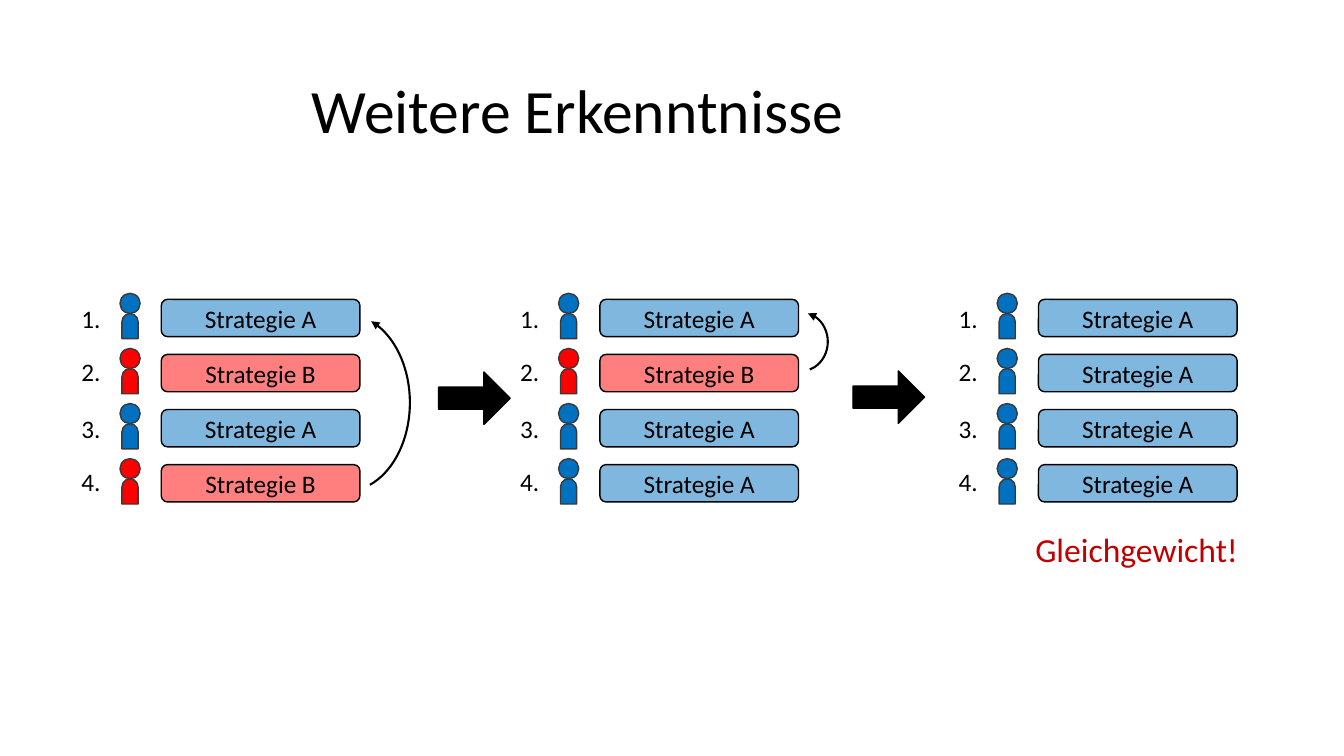
from lxml import etree
from pptx import Presentation
from pptx.dml.color import RGBColor
from pptx.enum.shapes import MSO_SHAPE as Preset
from pptx.enum.text import MSO_ANCHOR as Anchor, MSO_AUTO_SIZE as AutoSize, PP_ALIGN as Align
from pptx.oxml.ns import qn
from pptx.util import Inches, Pt

BLACK = RGBColor(0x00, 0x00, 0x00)
BLUE = RGBColor(0x00, 0x70, 0xC0)
RED = RGBColor(0xFF, 0x00, 0x00)
DARK_RED = RGBColor(0xC0, 0x00, 0x00)
OUTLINE = RGBColor(0x3B, 0x38, 0x38)

STRATEGY_COLORS = {"A": BLUE, "B": RED}
ROWS = 4
PANEL_LEFT, PANEL_TOP, PANEL_PITCH = 0.71, 2.91, 4.35
ROW_PITCH = 1.64 / (ROWS - 1)

# Strategies from first to last place; arc as (box in the panel, start, end)
PANELS = [
    ("ABAB", ((1.84, 0.45, 1.76, 1.27), 118.365, 206.187)),
    ("ABAA", ((2.6, 0.22, 0.58, 0.52), 115.466, 206.187)),
    ("AAAA", None),
]
STEP_ARROWS = [(4.35, 3.69, 0.71, 0.52), (8.46, 3.68, 0.71, 0.52)]


def to_emu(box):
    return [Inches(length) for length in box]


def write_text(frame, text, size, color=BLACK, align=Align.LEFT):
    frame.text = text
    paragraph = frame.paragraphs[0]
    paragraph.alignment = align
    font_format = {"name": "Calibri", "size": Pt(size), "bold": False}
    for name, value in font_format.items():
        setattr(paragraph.runs[0].font, name, value)
    paragraph.runs[0].font.color.rgb = color
    return paragraph


def add_label(shapes, box, text, size, color=BLACK):
    label = shapes.add_textbox(*to_emu(box))
    frame_format = {"word_wrap": False, "auto_size": AutoSize.SHAPE_TO_FIT_TEXT}
    for name, value in frame_format.items():
        setattr(label.text_frame, name, value)
    write_text(label.text_frame, text, size, color)


def add_preset(shapes, preset, box, fill=None, line=BLACK, width=1, adjustments=()):
    shape = shapes.add_shape(preset, *to_emu(box))
    shape.shadow.inherit = False
    if fill is None:
        shape.fill.background()
    else:
        shape.fill.solid()
        shape.fill.fore_color.rgb = fill
    shape.line.color.rgb = line
    shape.line.width = Pt(width)
    for index, value in enumerate(adjustments):
        shape.adjustments[index] = value
    return shape


def add_player(shapes, left, top, color):
    add_preset(shapes, Preset.ROUND_2_SAME_RECTANGLE, (left + 0.02, top + 0.2, 0.16, 0.25),
               color, OUTLINE, adjustments=(0.5, 0))
    add_preset(shapes, Preset.OVAL, (left, top, 0.2, 0.2), color, OUTLINE)


def add_strategy_bar(shapes, box, strategy):
    bar = add_preset(shapes, Preset.ROUNDED_RECTANGLE, box, STRATEGY_COLORS[strategy])
    fill_color = bar._element.spPr.find(qn("a:solidFill")).find(qn("a:srgbClr"))
    etree.SubElement(fill_color, qn("a:alpha"), val="50000")
    bar.text_frame.vertical_anchor = Anchor.MIDDLE
    write_text(bar.text_frame, f"Strategie {strategy}", 18, align=Align.CENTER)


def add_switch_arc(shapes, box, start, end):
    arc = add_preset(shapes, Preset.ARC, box, width=1.5, adjustments=(start, end))
    arc.rotation = 90
    etree.SubElement(arc.line._get_or_add_ln(), qn("a:headEnd"), type="triangle")


def add_ranking(slide, left, top, strategies, arc):
    """One ranking: place number, player and strategy in each row."""
    shapes = slide.shapes.add_group_shape().shapes
    for row, strategy in enumerate(strategies):
        row_top = top + row * ROW_PITCH
        pair, second = divmod(row, 2)
        label_top = top + 0.05 + pair * 1.09 + second * 0.53
        add_player(shapes, left + 0.48, row_top, STRATEGY_COLORS[strategy])
        add_strategy_bar(shapes, (left + 0.89, row_top + 0.06, 1.97, 0.37), strategy)
        add_label(shapes, (left, label_top, 0.39, 0.4), f"{row + 1}.", 18)
    if arc:
        (arc_left, arc_top, width, height), start, end = arc
        add_switch_arc(shapes, (left + arc_left, top + arc_top, width, height), start, end)


def add_title(slide, box, text):
    title = slide.shapes.title
    for name, value in zip(("left", "top", "width", "height"), to_emu(box)):
        setattr(title, name, value)
    title.text_frame.vertical_anchor = Anchor.MIDDLE
    write_text(title.text_frame, text, 44).line_spacing = 0.9


def main():
    presentation = Presentation()
    presentation.slide_width = Inches(13.33)
    presentation.slide_height = Inches(7.5)
    slide = presentation.slides.add_slide(presentation.slide_layouts.get_by_name("Title Only"))

    add_title(slide, (2.99, 0.4, 6.05, 1.45), "Weitere Erkenntnisse")

    # Three rankings, left to right
    for column, (strategies, arc) in enumerate(PANELS):
        add_ranking(slide, PANEL_LEFT + column * PANEL_PITCH, PANEL_TOP, strategies, arc)

    # Block arrows between the rankings
    for box in STEP_ARROWS:
        add_preset(slide.shapes, Preset.RIGHT_ARROW, box, BLACK, adjustments=(0.42, 0.5))

    # Conclusion below the last ranking
    add_label(slide.shapes, (10.17, 5.2, 2.23, 0.5), "Gleichgewicht!", 24, DARK_RED)

    presentation.save("out.pptx")


if __name__ == "__main__":
    main()
